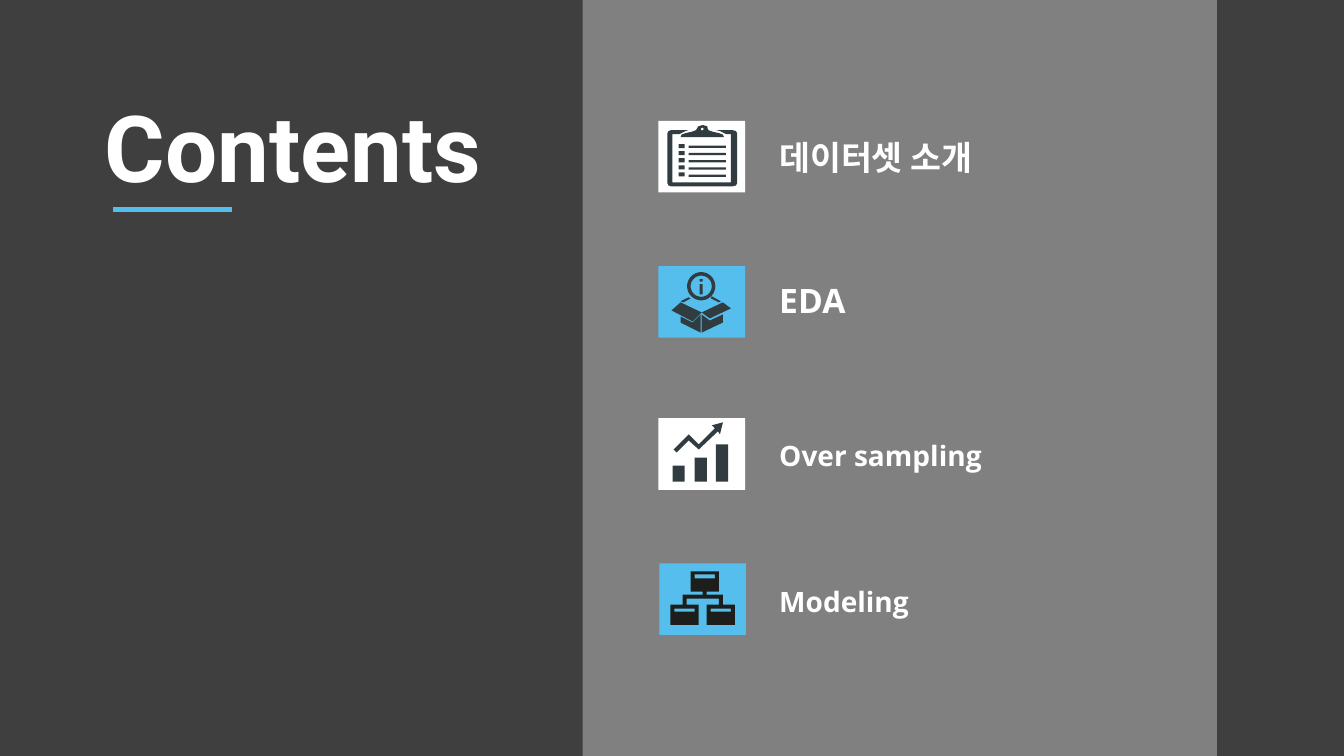
"""Build the dark contents slide with four icon-marked sections."""
from dataclasses import dataclass
from math import cos, pi, sin

from lxml.etree import SubElement
from pptx import Presentation
from pptx.dml.color import RGBColor
from pptx.enum.shapes import MSO_CONNECTOR as Connector, MSO_SHAPE as Preset
from pptx.enum.text import MSO_ANCHOR as Anchor, MSO_AUTO_SIZE as AutoSize, PP_ALIGN as Align
from pptx.oxml.ns import qn
from pptx.shapes.autoshape import Shape
from pptx.slide import Slide
from pptx.text.text import TextFrame
from pptx.util import Inches, Pt

Contour = list[tuple[float, float]]

COLORS = {
    "backdrop": "3F3F3F",
    "panel": "808080",
    "accent": "56BEEC",
    "white": "FFFFFF",
    "slate": "313C41",
    "ink": "1D1D1B",
}
SLIDE_WIDTH, SLIDE_HEIGHT = Inches(13.33), Inches(7.5)
TILE_WIDTH, TILE_HEIGHT = 6.45, 9.47
ICON_UNITS = 86
FINENESS = 10


def across(percent: float) -> int:
    """Convert a percentage of the slide width to a length."""
    return round(SLIDE_WIDTH * percent / 100)


def down(percent: float) -> int:
    """Convert a percentage of the slide height to a length."""
    return round(SLIDE_HEIGHT * percent / 100)


def box(left: float, top: float, right: float, bottom: float) -> Contour:
    """Return the corners of a rectangle."""
    return [(left, top), (right, top), (right, bottom), (left, bottom)]


def ring(x: float, y: float, radius: float, sides: int = 48) -> Contour:
    """Return points around a circle."""
    turns = [2 * pi * side / sides for side in range(sides)]
    return [(x + radius * cos(turn), y + radius * sin(turn)) for turn in turns]


CLIPBOARD = [
    *[box(20, 23 + 7 * row, 26, 27 + 7 * row) for row in range(5)],
    *[box(30, 24.4 + 7.2 * row, 67, 26.7 + 7.2 * row) for row in range(5)],
    [(22, 16), (23, 13.5), (27, 12), (33, 10.7), (37, 9.3), (38, 8), (39.5, 5.3), (44, 4),
     (48.5, 5.3), (49, 8), (50, 9.3), (54, 10.7), (60, 12), (64, 13.5), (65, 16)],
    ring(43.5, 8, 1.3),
    [(73, 9), (57, 9), (61, 10), (67, 13), (72, 13), (72, 61), (14, 61), (14, 13),
     (21, 13), (27, 10), (30, 9), (13, 9), (10, 10), (9, 12), (9, 62), (10, 64),
     (13, 65), (73, 65), (77, 64), (78, 62), (78, 12), (77, 10)],
]
OPEN_BOX = [
    ring(42.5, 20, 14),
    ring(42.5, 20, 10.5),
    box(41, 18, 44, 28),
    box(41, 13, 44, 15.5),
    [(51, 52), (43, 46), (64, 36), (72, 42)],
    [(51, 54), (64, 48), (64, 56), (43, 66), (43, 48)],
    [(34, 56), (42, 48), (42, 66), (22, 56), (22, 50)],
    [(22, 36), (43, 46), (34, 55), (13, 44)],
    [(53, 30), (62, 35), (60, 36), (52, 32)],
    [(25, 36), (22, 35), (30, 31), (32, 32)],
]
GROWTH = [
    box(14, 47, 26, 63),
    box(36, 39, 48, 63),
    box(57, 26, 69, 63),
    [(59, 13), (61, 16), (64, 4), (53, 7), (56, 10), (40, 26), (30, 16), (15, 31),
     (18, 34), (30, 22), (40, 31)],
]
HIERARCHY = [
    [(63, 41), (63, 31), (47, 31), (47, 28), (59, 28), (59, 8), (31, 8), (31, 28),
     (43, 28), (43, 31), (23, 31), (23, 41), (11, 41), (11, 61), (39, 61), (39, 41),
     (27, 41), (27, 35), (59, 35), (59, 41), (47, 41), (47, 61), (75, 61), (75, 41)],
    box(15, 45, 35, 48),
    box(35, 11, 55, 15),
    box(51, 45, 71, 48),
]


@dataclass(frozen=True)
class Section:
    """One contents entry, placed in percentages of the slide."""
    heading: str
    size: int
    tile_left: float
    tile_top: float
    heading_top: float
    heading_height: float
    tile_color: str
    icon: list[Contour]
    icon_color: str


SECTIONS = [
    Section("데이터셋 소개", 24, 48.99, 16, 17.87, 6.4, "white", CLIPBOARD, "slate"),
    Section("EDA", 24, 48.99, 35.2, 36.8, 6.4, "accent", OPEN_BOX, "slate"),
    Section("Over sampling", 20, 48.99, 55.33, 56.8, 6, "white", GROWTH, "slate"),
    Section("Modeling", 20, 49.06, 74.53, 76.13, 6, "accent", HIERARCHY, "ink"),
]


def color(name: str) -> RGBColor:
    """Look up a named colour."""
    return RGBColor.from_string(COLORS[name])


def paint(shape: Shape, fill: str) -> None:
    """Give a shape a flat fill with no outline or shadow."""
    shape.fill.solid()
    shape.fill.fore_color.rgb = color(fill)
    shape.line.fill.background()
    shape.shadow.inherit = False


def write(frame: TextFrame, words: str, font: str, size: int, spacing: float) -> None:
    """Set one bold white left-aligned line of text."""
    frame.text = words
    frame.word_wrap = True
    line = frame.paragraphs[0]
    line.alignment = Align.LEFT
    line.line_spacing = spacing
    style = line.runs[0].font
    style.name, style.size, style.bold = font, Pt(size), True
    style.color.rgb = color("white")


def draw_block(slide: Slide, left: float, top: float, width: float, height: float,
               fill: str) -> None:
    """Draw a flat rectangle placed in percentages of the slide."""
    block = slide.shapes.add_shape(
        Preset.RECTANGLE, across(left), down(top), across(width), down(height))
    paint(block, fill)


def draw_icon(slide: Slide, section: Section) -> None:
    """Draw the section's icon as one multi-contour outline on its tile."""
    contours = [[(x * FINENESS, y * FINENESS) for x, y in contour] for contour in section.icon]
    unit = across(TILE_WIDTH) / (ICON_UNITS * FINENESS)
    builder = slide.shapes.build_freeform(*contours[0][0], scale=unit)
    builder.add_line_segments(contours[0][1:], close=True)
    for contour in contours[1:]:
        builder.move_to(*contour[0])
        builder.add_line_segments(contour[1:], close=True)
    icon = builder.convert_to_shape(across(section.tile_left), down(section.tile_top))
    paint(icon, section.icon_color)


def draw_section(slide: Slide, section: Section) -> None:
    """Draw a section's tile, icon and heading."""
    draw_block(slide, section.tile_left, section.tile_top, TILE_WIDTH, TILE_HEIGHT,
               section.tile_color)
    draw_icon(slide, section)
    heading = slide.shapes.add_textbox(
        across(57.24), down(section.heading_top), across(17.4), down(section.heading_height))
    write(heading.text_frame, section.heading, "Open Sans", section.size, Pt(26.8))
    heading.text_frame.auto_size = AutoSize.SHAPE_TO_FIT_TEXT


def draw_title(slide: Slide) -> None:
    """Place the title and its accent underline."""
    title = slide.shapes.title
    title.left, title.top = across(7.05), down(13.6)
    title.width, title.height = across(31.73), down(13.07)
    write(title.text_frame, "Contents", "Roboto", 66, 0.9)
    title.text_frame.auto_size = AutoSize.NONE
    title.text_frame.vertical_anchor = Anchor.MIDDLE
    underline = slide.shapes.add_connector(
        Connector.STRAIGHT, across(8.4), down(27.73), across(17.25), down(27.73))
    underline.line.color.rgb = color("accent")
    underline.line.width = Pt(3.5)
    SubElement(underline._element.spPr, qn("a:effectLst"))


def main() -> None:
    """Assemble and save the slide."""
    deck = Presentation()
    deck.slide_width, deck.slide_height = SLIDE_WIDTH, SLIDE_HEIGHT
    slide = deck.slides.add_slide(deck.slide_layouts.get_by_name("Title Only"))
    slide.background.fill.solid()
    slide.background.fill.fore_color.rgb = color("backdrop")
    draw_block(slide, 43.36, 0, 47.19, 100, "panel")
    draw_title(slide)
    for section in SECTIONS:
        draw_section(slide, section)
    deck.save("out.pptx")


if __name__ == "__main__":
    main()
